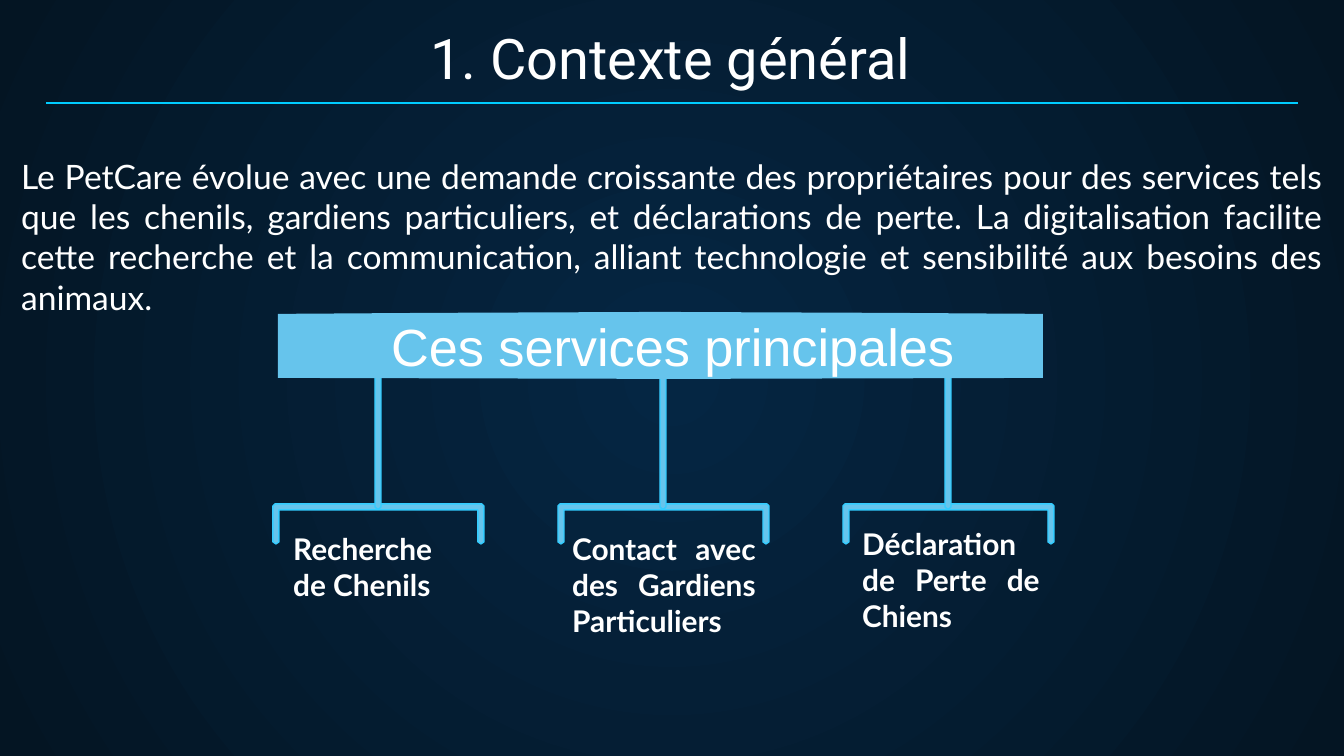
"""Build the general context slide with its three main services."""
from lxml import etree
from pptx import Presentation
from pptx.dml.color import RGBColor
from pptx.enum.shapes import MSO_CONNECTOR
from pptx.enum.text import MSO_ANCHOR, PP_ALIGN
from pptx.oxml.ns import qn
from pptx.util import Pt

LEFT, MID, FULL = PP_ALIGN.LEFT, PP_ALIGN.CENTER, PP_ALIGN.JUSTIFY
TOP, BOTTOM = MSO_ANCHOR.TOP, MSO_ANCHOR.BOTTOM
STRAIGHT = MSO_CONNECTOR.STRAIGHT
PX = 9144000 / 1344
THEME = {
    "glow": RGBColor.from_string("052643"),
    "night": RGBColor.from_string("041523"),
    "sky": RGBColor.from_string("66C4EC"),
    "edge": RGBColor.from_string("33CCFF"),
    "rule": RGBColor.from_string("00CCFF"),
    "white": RGBColor.from_string("FFFFFF"),
    "title": ("Roboto", 30, False),
    "body": ("Lato", 18, False),
    "banner": ("Arial", 28, False),
    "label": ("Lato", 16, True),
    "hair": Pt(0.75),
}


def px(*nums):
    return [round(n * PX) for n in nums]


def write(text, area, style, align, anchor=TOP, wrap=True):
    frame = slide.shapes.add_textbox(*px(*area)).text_frame
    frame.word_wrap = wrap
    frame.vertical_anchor = anchor
    para = frame.paragraphs[0]
    para.text = text
    para.alignment = align
    font = para.font
    font.name, size, font.bold = THEME[style]
    font.size = Pt(size)
    font.color.rgb = THEME["white"]
    return frame


def draw(points, edge=True):
    pen = slide.shapes.build_freeform(*points[0], scale=PX)
    pen.add_line_segments(points[1:], close=True)
    shape = pen.convert_to_shape()
    shape.shadow.inherit = False
    shape.fill.solid()
    shape.fill.fore_color.rgb = THEME["sky"]
    if edge:
        shape.line.color.rgb = THEME["edge"]
        shape.line.width = THEME["hair"]
    else:
        shape.line.fill.background()


deck = Presentation()
deck.slide_width, deck.slide_height = px(1344, 756)
slide = deck.slides.add_slide(deck.slide_layouts[6])

fill = slide.background.fill
fill.gradient()
for stop, tone, place in zip(fill.gradient_stops, ("glow", "night"), (0, 1)):
    stop.color.rgb = THEME[tone]
    stop.position = place
grad = next(slide.element.iter(qn("a:gradFill")))
grad.remove(grad.find(qn("a:lin")))
focus = etree.SubElement(grad, qn("a:path"), path="circle")
etree.SubElement(focus, qn("a:fillToRect"), l="50000", t="50000", r="50000", b="50000")

title = write("1. Contexte général", (44, 15, 1253, 89), "title", MID, BOTTOM)
title.margin_top, title.margin_bottom = px(13, 13)

for left in (273, 558, 843):
    right = left + 211
    draw([(left + 2, 504), (right - 2, 504), (right, 506), (right, 542),
          (right - 3, 544), (right - 6, 542), (right - 6, 510), (left + 6, 510),
          (left + 6, 542), (left + 3, 544), (left, 542), (left, 506)])
    stem = left + 102
    draw([(stem + 2, 375), (stem + 4, 375), (stem + 6, 378), (stem + 6, 507),
          (stem + 4, 509), (stem + 2, 509), (stem, 507), (stem, 378)])

rule = slide.shapes.add_connector(STRAIGHT, *px(46, 103, 1298, 103))
rule.line.color.rgb = THEME["rule"]
rule.line.width = THEME["hair"]
etree.SubElement(rule._element.spPr, qn("a:effectLst"))

draw([(278, 314), (430, 313), (660, 312), (890, 313), (1043, 314),
      (1043, 378), (676, 379), (278, 378)], edge=False)

write("Le PetCare évolue avec une demande croissante des propriétaires pour des "
      "services tels que les chenils, gardiens particuliers, et déclarations de "
      "perte. La digitalisation facilite cette recherche et la communication, "
      "alliant technologie et sensibilité aux besoins des animaux.",
      (8, 149, 1328, 136), "body", FULL)
write("Ces services principales", (374, 308, 597, 77), "banner", MID, wrap=False)

for text, area, align in (
    ("Recherche de Chenils", (280, 524, 203, 86), LEFT),
    ("Contact avec des Gardiens Particuliers", (559, 524, 210, 122), FULL),
    ("Déclaration de Perte de Chiens", (849, 519, 204, 122), FULL),
):
    write(text, area, "label", align)

deck.save("out.pptx")
